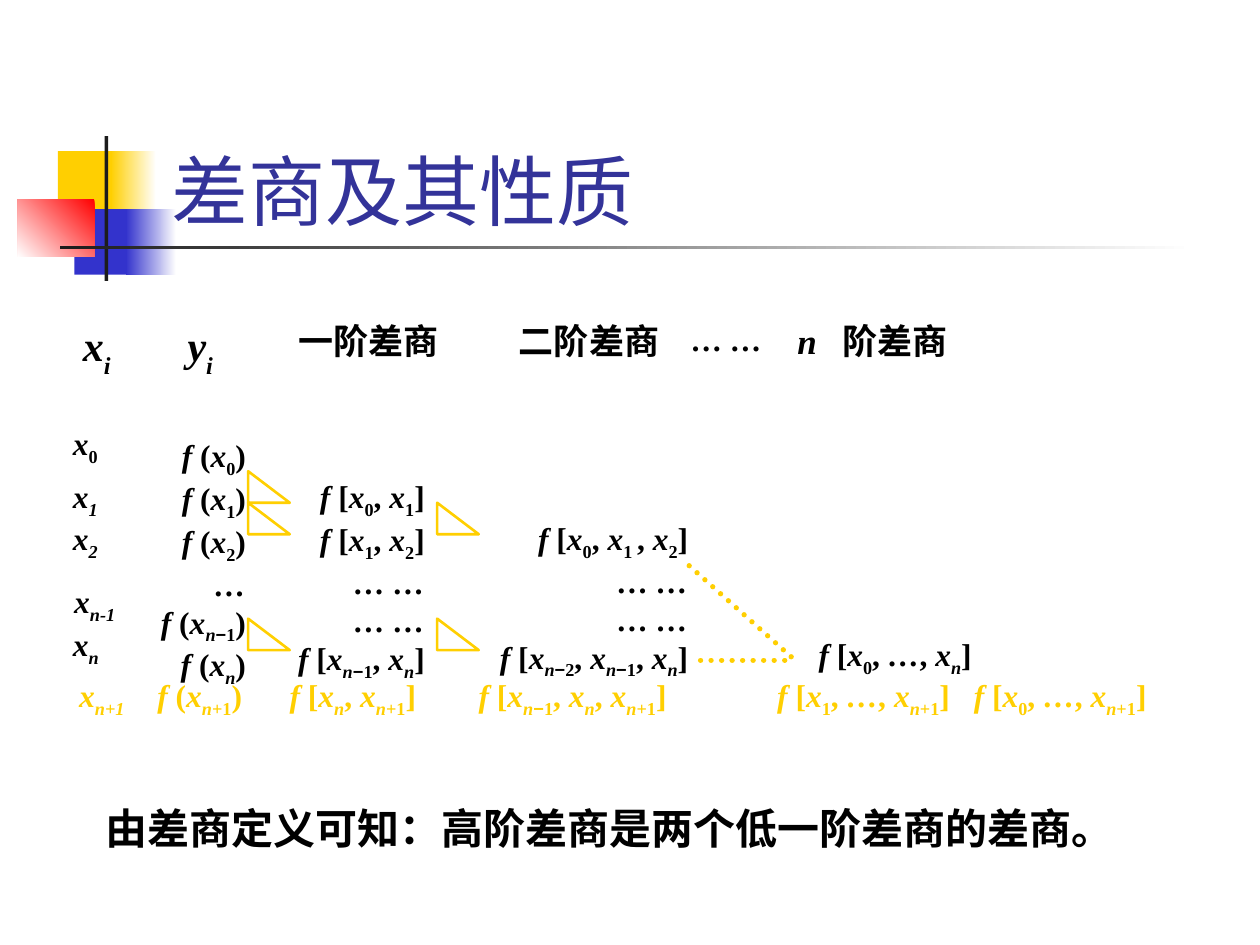
from itertools import groupby

from lxml import etree
from pptx import Presentation
from pptx.dml import color
from pptx.enum import dml, shapes, text
from pptx.oxml import ns
from pptx.util import Emu, Pt

GOLD, BLUE, DARK, WHITE, RED = "FFCF01", "3333CC", "1C1C1C", "FFFFFF", "FF0000"
TIMES, HAN = "Times New Roman", "Noto Sans CJK SC"
RIGHT = text.PP_ALIGN.RIGHT


def tint(code):
    return color.RGBColor.from_string(code)


def apply(item, vals):
    for key, val in vals.items():
        setattr(item, key, val)


def kind(char):
    if char >= "⺀":
        return "han"
    if char == "−":
        return "minus"
    return "slant" if char in "fxyni…" else "plain"


class Board:
    cols, rows = 100, 75

    def __init__(self):
        self.deck = Presentation()
        apply(self.deck, {"slide_width": Emu(9144000), "slide_height": Emu(6858000)})
        self.slide = self.deck.slides.add_slide(self.deck.slide_layouts[6])
        self.dx = self.deck.slide_width / self.cols
        self.dy = self.deck.slide_height / self.rows

    def place(self, x, y, w, h):
        return [Emu(round(n * d)) for n, d in zip((x, y, w, h), (self.dx, self.dy) * 2)]

    def shape(self, form, box):
        item = self.slide.shapes.add_shape(form, *self.place(*box))
        item.shadow.inherit = False
        return item

    def block(self, box, *tints, angle=180):
        item = self.shape(shapes.MSO_SHAPE.RECTANGLE, box)
        item.line.fill.background()
        if len(tints) == 1:
            item.fill.solid()
            item.fill.fore_color.rgb = tint(tints[0])
            return
        item.fill.gradient()
        item.fill.gradient_angle = angle
        for stop, code in zip(item.fill.gradient_stops, tints):
            stop.color.rgb = tint(code)

    def wedge(self, x, y):
        item = self.shape(shapes.MSO_SHAPE.RIGHT_TRIANGLE, (x, y, 3.3, 2.5))
        item.fill.background()
        item.line.color.rgb = tint(GOLD)
        item.line.width = Pt(1.5)

    def dots(self, x, y, x2, y2):
        ends = self.place(x, y, x2, y2)
        item = self.slide.shapes.add_connector(shapes.MSO_CONNECTOR.STRAIGHT, *ends)
        item.line.color.rgb = tint(GOLD)
        apply(item.line, {"width": Pt(3), "dash_style": dml.MSO_LINE.ROUND_DOT})
        item.line._get_or_add_ln().set("cap", "rnd")
        etree.SubElement(item._element.spPr, ns.qn("a:effectLst"))

    def run(self, para, words, look, drop):
        for sort, chars in groupby(words, kind):
            part = para.add_run()
            part.text = "".join(chars)
            face = "Arial" if sort == "minus" else look["face"]
            slant = sort == "slant" or (look["slant"] and sort == "plain")
            apply(part.font, {"name": face, "size": Pt(look["size"]),
                              "bold": look["bold"], "italic": slant})
            part.font.color.rgb = tint(look["ink"])
            props = part._r.get_or_add_rPr()
            if drop:
                props.set("baseline", str(look["drop"] * -1000))
            wide = etree.SubElement(props, ns.qn("a:ea"))
            wide.set("typeface", HAN if sort == "han" else face)

    def label(self, box, *lines, align=None, tabs=(), anchor=text.MSO_ANCHOR.TOP, **look):
        look = {"face": TIMES, "size": 18, "bold": True, "slant": False,
                "ink": "000000", "drop": 25, **look}
        frame = self.slide.shapes.add_textbox(*self.place(*box)).text_frame
        apply(frame, {"word_wrap": True, "vertical_anchor": anchor})
        for n, line in enumerate(lines):
            para = frame.add_paragraph() if n else frame.paragraphs[0]
            if tabs:
                stops = etree.SubElement(para._p.get_or_add_pPr(), ns.qn("a:tabLst"))
                for tab in tabs:
                    etree.SubElement(stops, ns.qn("a:tab"),
                                     pos=str(round(tab * self.dx)), algn="l")
            para.alignment = align
            for m, words in enumerate(line.replace("}", "{").split("{")):
                self.run(para, words, look, m % 2)


def main():
    board = Board()
    board.block((4.6, 12, 4.8, 5.2), GOLD)
    board.block((8.8, 12, 3.6, 5.2), WHITE, GOLD)
    board.block((5.9, 16.6, 4.6, 5.2), BLUE)
    board.block((10, 16.6, 4, 5.2), WHITE, BLUE)
    board.block((1.4, 15.8, 6.1, 4.6), RED, WHITE, angle=225)
    board.block((8.3, 10.8, 0.3, 11.5), DARK)
    board.block((4.8, 19.5, 90, 0.3), WHITE, DARK)
    board.label((12.6, 6.7, 85.2, 12.5), "差商及其性质", face="Lato", size=44,
                bold=False, ink="333399", anchor=text.MSO_ANCHOR.BOTTOM)

    table = [
        ((9.7, 34.1, 10.8, 21.1),
         ["f (x{0})", "f (x{1})", "f (x{2})", "…", "f (x{n−1})", "f (x{n})"]),
        ((19.7, 37.4, 15, 17.3),
         ["f [x{0}, x{1}]", "f [x{1}, x{2}]", "… …", "… …", "f [x{n−1}, x{n}]"]),
        ((33.9, 40.7, 21.7, 13.8),
         ["f [x{0}, x{1 }, x{2}]", "… …", "… …", "f [x{n−2}, x{n−1}, x{n}]"]),
        ((60.6, 49.9, 17.5, 4.4), ["f [x{0}, …, x{n}]"]),
    ]
    for box, lines in table:
        board.label(box, *lines, align=RIGHT)

    for x, tops in ((19.7, (37.4, 39.9, 49.1)), (34.7, (39.9, 49.1))):
        for y in tops:
            board.wedge(x, y)
    for x, y in ((55.6, 52.4), (54.7, 44.9)):
        board.dots(x, y, 63.1, 52.4)

    cells = ["f (x{n+1})", "f [x{n}, x{n+1}]", "f [x{n−1}, x{n}, x{n+1}]",
             "f [x{1}, …, x{n+1}]", "f [x{0}, …, x{n+1}]"]
    board.label((5.3, 53.2, 7, 4.4), "x{n+1}", ink=GOLD, slant=True)
    board.label((11.5, 53.2, 86.5, 4.4), "\t".join(cells), ink=GOLD,
                tabs=(10.5, 25.5, 49.2, 64.8))

    for x, words in ((5.6, "x{i}"), (13.9, "y{i}")):
        board.label((x, 24.9, 6, 5.7), words, size=24, drop=30)
    for x, words in ((22.7, "一阶差商"), (40.2, "二阶差商")):
        board.label((x, 24.9, 14.8, 5), words, size=20, face=HAN)
    board.label((62.3, 24.9, 17, 5), "n\t阶差商", size=20, tabs=(3.6,))
    board.label((53.9, 24.9, 9, 4), "… …")
    board.label((7.4, 63.2, 86, 5), "由差商定义可知：高阶差商是两个低一阶差商的差商。", size=24)

    marks = [(4.8, 33.2, "x{0}"), (4.8, 37.4, "x{1}"), (4.8, 40.7, "x{2}"),
             (4.9, 45.7, "x{n-1}"), (4.8, 49.1, "x{n}")]
    for x, y, words in marks:
        board.label((x, y, 7, 4.4), words, slant=words != "x{0}")
    board.deck.save("out.pptx")


if __name__ == "__main__":
    main()
